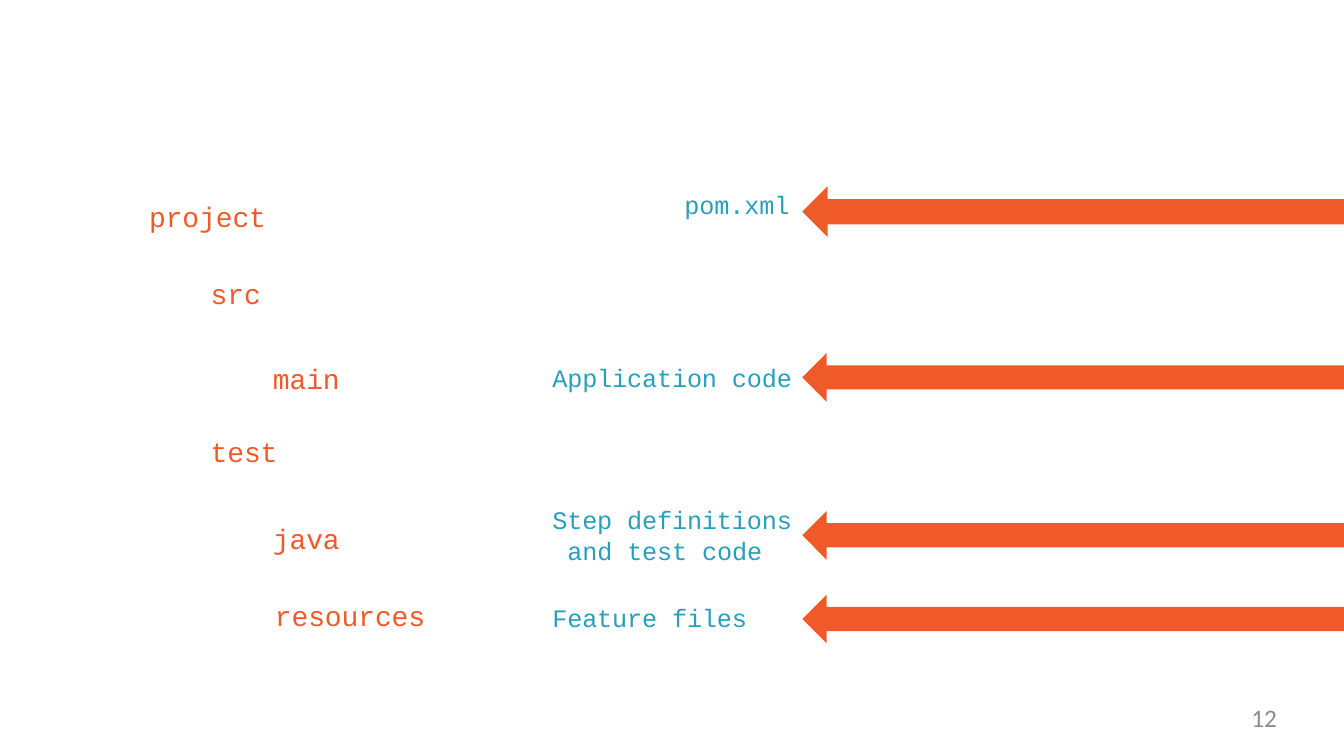
"""Build the project folder structure slide."""
from pptx import Presentation
from pptx import util as u
from pptx.dml.color import RGBColor
from pptx.enum import shapes, text

ORANGE = RGBColor(0xEF, 0x5A, 0x28)
TEAL = RGBColor(0x2A, 0x9F, 0xBB)
GRAY = RGBColor(0x8C, 0x8C, 0x8C)
CODE_FONT = "Courier New"
ARROW_LEFT = 20.22
SLIDE_WIDTH = 33.87

presentation = Presentation()
presentation.slide_width = u.Cm(SLIDE_WIDTH)
presentation.slide_height = u.Cm(19.05)
slide = presentation.slides.add_slide(presentation.slide_layouts[6])


def add_label(wording, left, top, width, height, size, color, font=CODE_FONT):
    box = slide.shapes.add_textbox(u.Cm(left), u.Cm(top), u.Cm(width), u.Cm(height))
    frame = box.text_frame
    frame.word_wrap = True
    frame.margin_left = frame.margin_right = frame.margin_bottom = 0
    frame.margin_top = u.Cm(0.05 if font == CODE_FONT else 0)
    paragraph = frame.paragraphs[0]
    run = paragraph.add_run()
    run.text = wording
    run.font.name = font
    run.font.size = u.Pt(size)
    run.font.color.rgb = color
    if font == CODE_FONT:
        run.font._element.set("spc", "-10")
    return paragraph


folders = [
    ("project", 3.76, 4.98, 3.02),
    ("src", 5.31, 6.91, 1.35),
    ("main", 6.88, 9.07, 1.75),
    ("test", 5.31, 10.9, 1.75),
    ("java", 6.88, 13.08, 1.75),
    ("resources", 6.93, 15.04, 3.89),
]
for name, left, top, width in folders:
    add_label(name, left, top, width, 0.91, 20, ORANGE)

for top, height in [(4.7, 1.27), (8.9, 1.22), (12.88, 1.22), (14.99, 1.22)]:
    arrow = slide.shapes.add_shape(
        shapes.MSO_SHAPE.LEFT_ARROW,
        u.Cm(ARROW_LEFT), u.Cm(top), u.Cm(SLIDE_WIDTH - ARROW_LEFT), u.Cm(height))
    arrow.shadow.inherit = False
    arrow.fill.solid()
    arrow.fill.fore_color.rgb = ORANGE
    arrow.line.fill.background()

descriptions = [
    ("pom.xml", 17.25, 4.72, 2.74, 0.84),
    ("Application code", 13.92, 9.07, 6.15, 0.84),
    ("Step definitions and test code", 13.92, 12.67, 6.15, 1.6),
    ("Feature files", 13.92, 15.14, 5, 0.84),
]
for wording, left, top, width, height in descriptions:
    description = add_label(wording, left, top, width, height, 18, TEAL)
    if wording.startswith("Step"):
        properties = description._p.get_or_add_pPr()
        properties.set("marL", str(u.Cm(0.38)))
        properties.set("indent", str(-u.Cm(0.38)))

page_number = add_label("12", 24.38, 17.7, 7.8, 0.97, 18, GRAY, "Calibri")
page_number.alignment = text.PP_ALIGN.RIGHT

presentation.save("out.pptx")
